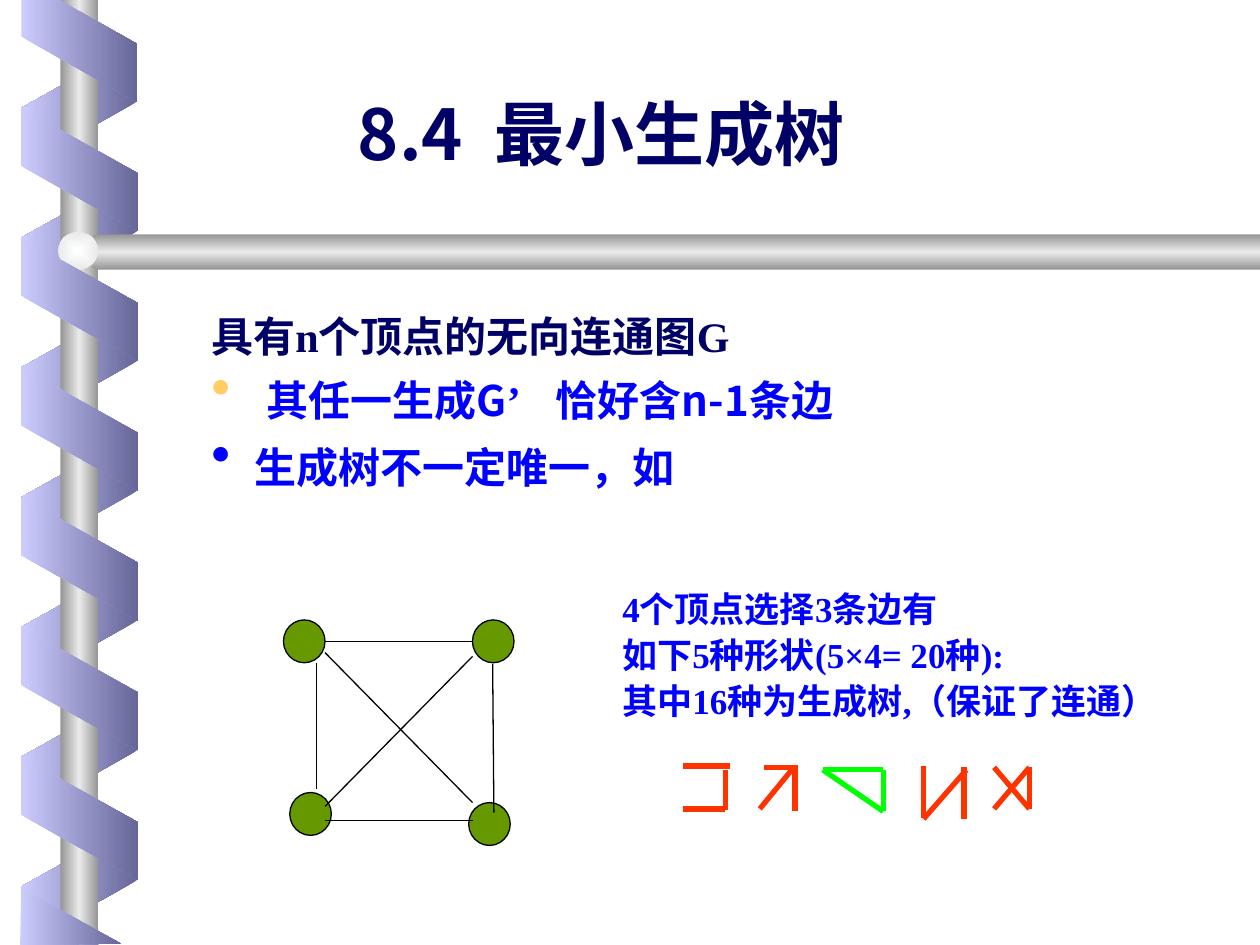
import pptx
import pptx.util
import pptx.dml.color
import pptx.enum.shapes
import pptx.enum.text
import pptx.oxml.ns
from dataclasses import dataclass
from lxml import etree

Inches = pptx.util.Inches
Pt = pptx.util.Pt
qn = pptx.oxml.ns.qn
SHAPE = pptx.enum.shapes.MSO_SHAPE
ALIGN = pptx.enum.text.PP_ALIGN
ANCHOR = pptx.enum.text.MSO_ANCHOR


@dataclass(frozen=True)
class Theme:
    navy: str = "000066"
    blue: str = "0000FF"
    gold: str = "FFCC66"
    node: str = "669900"
    black: str = "000000"
    red: str = "FF3300"
    green: str = "00FF00"
    ribbon: tuple = ((0, "CCCCFF"), (100, "666699"))
    ribbon_back: tuple = ((0, "666699"), (100, "CCCCFF"))
    metal: tuple = ((0, "969696"), (50, "EAEAEA"), (100, "969696"))
    pearl: tuple = ((0, "FEFFFF"), (100, "EAEAEA"))
    sans: str = "Noto Sans CJK SC"
    serif: str = "Times New Roman"
    title: int = 40
    body: int = 24
    gap: int = 32
    note: int = 20
    thin: float = 0.75
    thick: float = 3


T = Theme()

TITLE = [{"runs": [("8.4", T.title, T.sans, T.navy),
                   (" ", T.title, T.sans, T.navy, 9),
                   ("最小生成树 ", T.title, T.sans, T.navy)],
          "format": {"alignment": ALIGN.CENTER}}]
BODY = [
    {"runs": [("具有n个顶点的无向连通图G", T.body, T.serif, T.navy)]},
    {"bullet": T.gold,
     "runs": [(" ", T.gap, T.serif, T.gold, 7),
              ("其任一生成G", T.body, T.sans, T.blue),
              ("’", T.body, T.serif, T.blue, 20),
              ("恰好含n-1条边", T.body, T.sans, T.blue)]},
    {"bullet": T.blue,
     "runs": [(" ", T.gap, T.sans, T.blue),
              ("生成树不一定唯一，如", T.body, T.sans, T.blue)]},
]
NOTE = [{"runs": [(line, T.note, T.serif, T.blue)], "format": {"line_spacing": 1.1}}
        for line in ("4个顶点选择3条边有", "如下5种形状(5×4= 20种):",
                     "其中16种为生成树,（保证了连通）")]
TEXTS = [
    ((1.92, 0.67, 5.83, 0.77), TITLE, {"word_wrap": True}),
    ((1.58, 2.41, 5.25, 1.57), BODY,
     {"word_wrap": True, "vertical_anchor": ANCHOR.MIDDLE}),
    ((4.84, 4.58, 4.71, 1.2), NOTE,
     {"word_wrap": False, "vertical_anchor": ANCHOR.MIDDLE}),
]

BAR = [(10, 1.86), (0.76, 1.86), (0.6, 2), (0.76, 2.14), (10, 2.14)]
RIBBON_ENDS = [
    [(0.17, 0), (0.17, 0.29), (1.09, 0.81), (1.09, 0.35), (0.47, 0)],
    [(0.96, 7.49), (0.17, 7.05), (0.16, 7.5)],
]
RIBBON_STEP = 1.03

NODES = [(2.25, 4.92), (3.75, 4.92), (3.72, 6.37), (2.3, 6.29)]
EDGES = [(2.58, 5.09, 3.75, 5.09), (2.58, 6.51, 3.75, 6.51),
         (3.91, 5.27, 3.92, 6.45), (3.75, 5.21, 2.58, 6.4),
         (2.58, 5.18, 3.75, 6.37), (2.51, 5.26, 2.51, 6.26)]
TREES = [
    (T.red, [(5.75, 6.42, 5.42, 6.42), (5.42, 6.08, 5.79, 6.08), (5.76, 6.11, 5.76, 6.43)]),
    (T.red, [(6.06, 6.09, 6.33, 6.09), (6.31, 6.11, 6.31, 6.44), (6.3, 6.09, 6.03, 6.42)]),
    (T.green, [(6.53, 6.11, 7.01, 6.11), (7.01, 6.11, 7.01, 6.44), (6.53, 6.11, 7.01, 6.44)]),
    (T.red, [(7.33, 6.08, 7.33, 6.49), (7.33, 6.5, 7.67, 6.11), (7.65, 6.09, 7.65, 6.5)]),
    (T.red, [(8.17, 6.09, 7.89, 6.42), (7.89, 6.09, 8.17, 6.42), (8.17, 6.09, 8.17, 6.42)]),
]


def rgb(value):
    return pptx.dml.color.RGBColor.from_string(value)


def assign(target, values):
    for name, value in values.items():
        setattr(target, name, value)


def gradient(sp, stops, angle=0, centred=False):
    sp.shadow.inherit = False
    sp.line.fill.background()
    sp.fill.gradient()
    fill = sp._element.spPr.find(qn("a:gradFill"))
    for child in list(fill):
        fill.remove(child)
    fill.set("rotWithShape", "0")
    stop_list = etree.SubElement(fill, qn("a:gsLst"))
    for position, color in stops:
        stop = etree.SubElement(stop_list, qn("a:gs"), pos=str(position * 1000))
        etree.SubElement(stop, qn("a:srgbClr"), val=color)
    if centred:
        shade = etree.SubElement(fill, qn("a:path"), {"path": "rect"})
        etree.SubElement(shade, qn("a:fillToRect"), dict.fromkeys("ltrb", "50000"))
    else:
        etree.SubElement(fill, qn("a:lin"), ang=str(angle * 60000), scaled="1")


def shape(s, kind, box):
    return s.shapes.add_shape(kind, *map(Inches, box))


def ribbon(s, top, stops, rotation, height, flip=False):
    sp = shape(s, SHAPE.PARALLELOGRAM, (0.14, top, 0.98, height))
    sp.adjustments[0] = 0.56
    sp.rotation = rotation
    if flip:
        sp._element.spPr.find(qn("a:xfrm")).set("flipH", "1")
    gradient(sp, stops)


def outline(s, points, stops, angle=0):
    builder = s.shapes.build_freeform(*map(Inches, points[0]), scale=1.0)
    builder.add_line_segments([tuple(map(Inches, p)) for p in points[1:]], close=True)
    gradient(builder.convert_to_shape(), stops, angle)


def line(s, ends, color, width):
    c = s.shapes.add_connector(pptx.enum.shapes.MSO_CONNECTOR.STRAIGHT, *map(Inches, ends))
    c.line.color.rgb = rgb(color)
    c.line.width = Pt(width)
    etree.SubElement(c._element.spPr, qn("a:effectLst"))


def bullet(p, color):
    pr = p._p.get_or_add_pPr()
    pr.set("marL", str(Inches(0.24)))
    pr.set("indent", str(-Inches(0.24)))
    tint = etree.SubElement(pr, qn("a:buClr"))
    etree.SubElement(tint, qn("a:srgbClr"), val=color)
    etree.SubElement(pr, qn("a:buChar"), char="•")


def add_run(p, words, size, face, color, spacing=0):
    r = p.add_run()
    r.text = words
    assign(r.font, {"size": Pt(size), "name": face, "bold": True})
    r.font.color.rgb = rgb(color)
    pr = r._r.get_or_add_rPr()
    if spacing:
        pr.set("spc", str(spacing * 100))
    etree.SubElement(pr, qn("a:ea"), typeface=face if words == "’" else T.sans)


def text(s, box, paragraphs, frame):
    tf = s.shapes.add_textbox(*map(Inches, box)).text_frame
    assign(tf, frame)
    for i, item in enumerate(paragraphs):
        p = tf.add_paragraph() if i else tf.paragraphs[0]
        if "bullet" in item:
            bullet(p, item["bullet"])
        assign(p, item.get("format", {}))
        for run in item["runs"]:
            add_run(p, *run)


def backdrop(s):
    for i in range(7):
        ribbon(s, 0.37 + RIBBON_STEP * i, T.ribbon_back, 90, 0.92, flip=True)
    gradient(shape(s, SHAPE.RECTANGLE, (0.48, 0, 0.3, 7.5)), T.metal)
    outline(s, BAR, T.metal, 90)
    gradient(shape(s, SHAPE.OVAL, (0.46, 1.84, 0.32, 0.3)), T.pearl, centred=True)
    for i in range(6):
        ribbon(s, 0.88 + RIBBON_STEP * i, T.ribbon, 270, 0.93)
    for points in RIBBON_ENDS:
        outline(s, points, T.ribbon)


def graph(s):
    for x, y in NODES:
        sp = shape(s, SHAPE.OVAL, (x, y, 0.33, 0.34))
        sp.shadow.inherit = False
        sp.fill.solid()
        sp.fill.fore_color.rgb = rgb(T.node)
        sp.line.color.rgb = rgb(T.black)
        sp.line.width = Pt(T.thin)
    for ends in EDGES:
        line(s, ends, T.black, T.thin)
    for color, strokes in TREES:
        for ends in strokes:
            line(s, ends, color, T.thick)


def main():
    prs = pptx.Presentation()
    assign(prs, {"slide_width": Inches(10), "slide_height": Inches(7.5)})
    s = prs.slides.add_slide(prs.slide_layouts[6])
    backdrop(s)
    for box, paragraphs, frame in TEXTS:
        text(s, box, paragraphs, frame)
    graph(s)
    prs.save("out.pptx")


if __name__ == "__main__":
    main()
